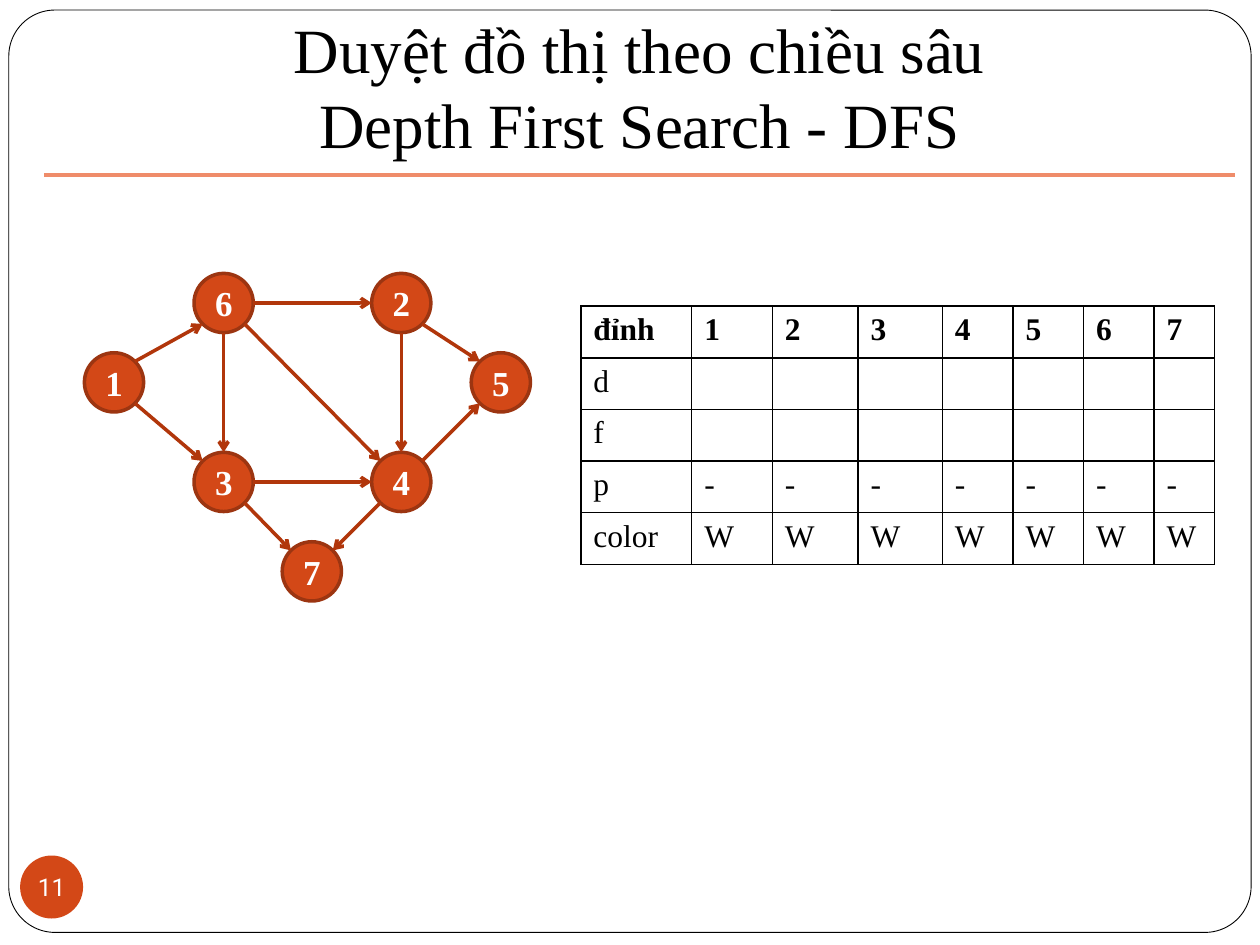
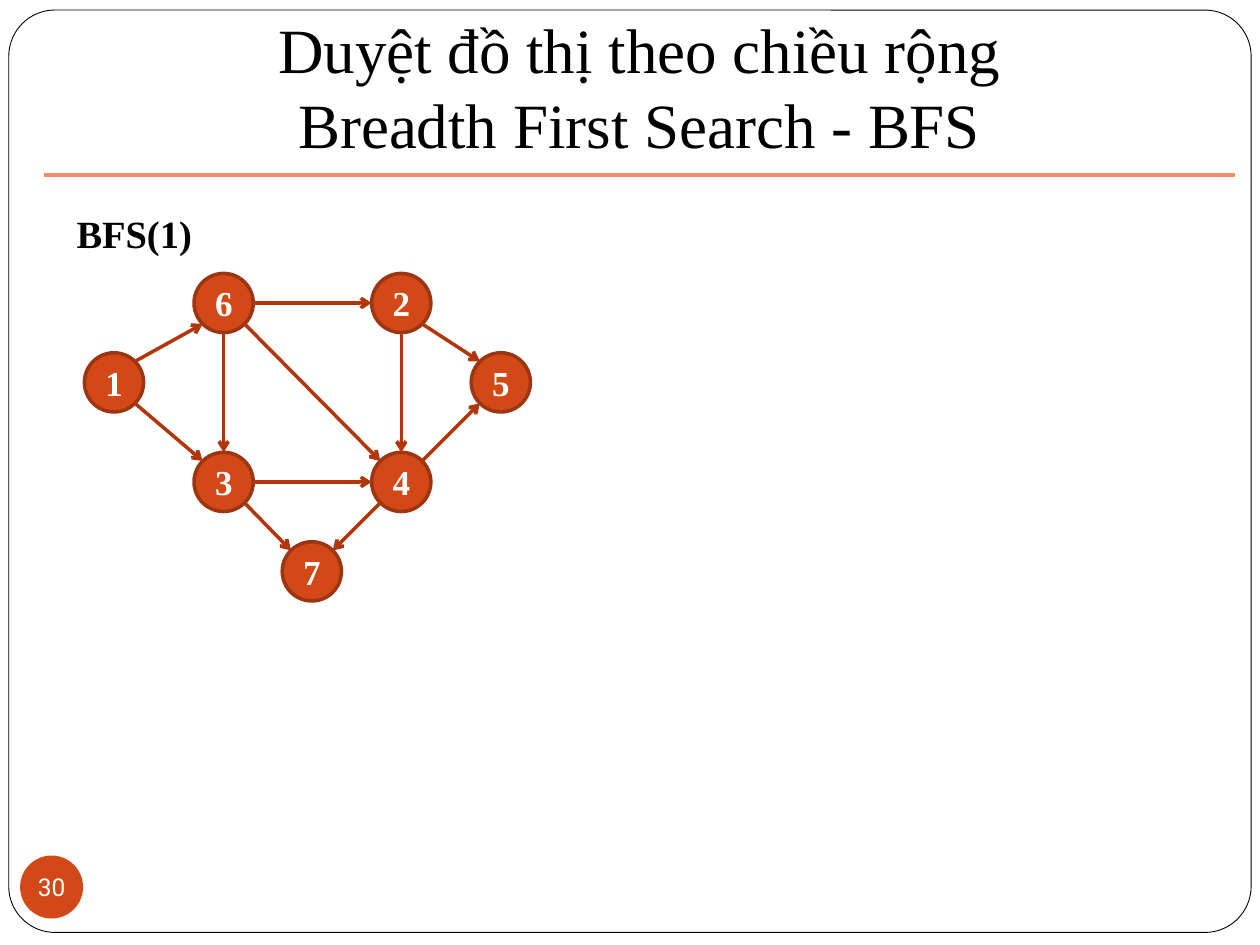
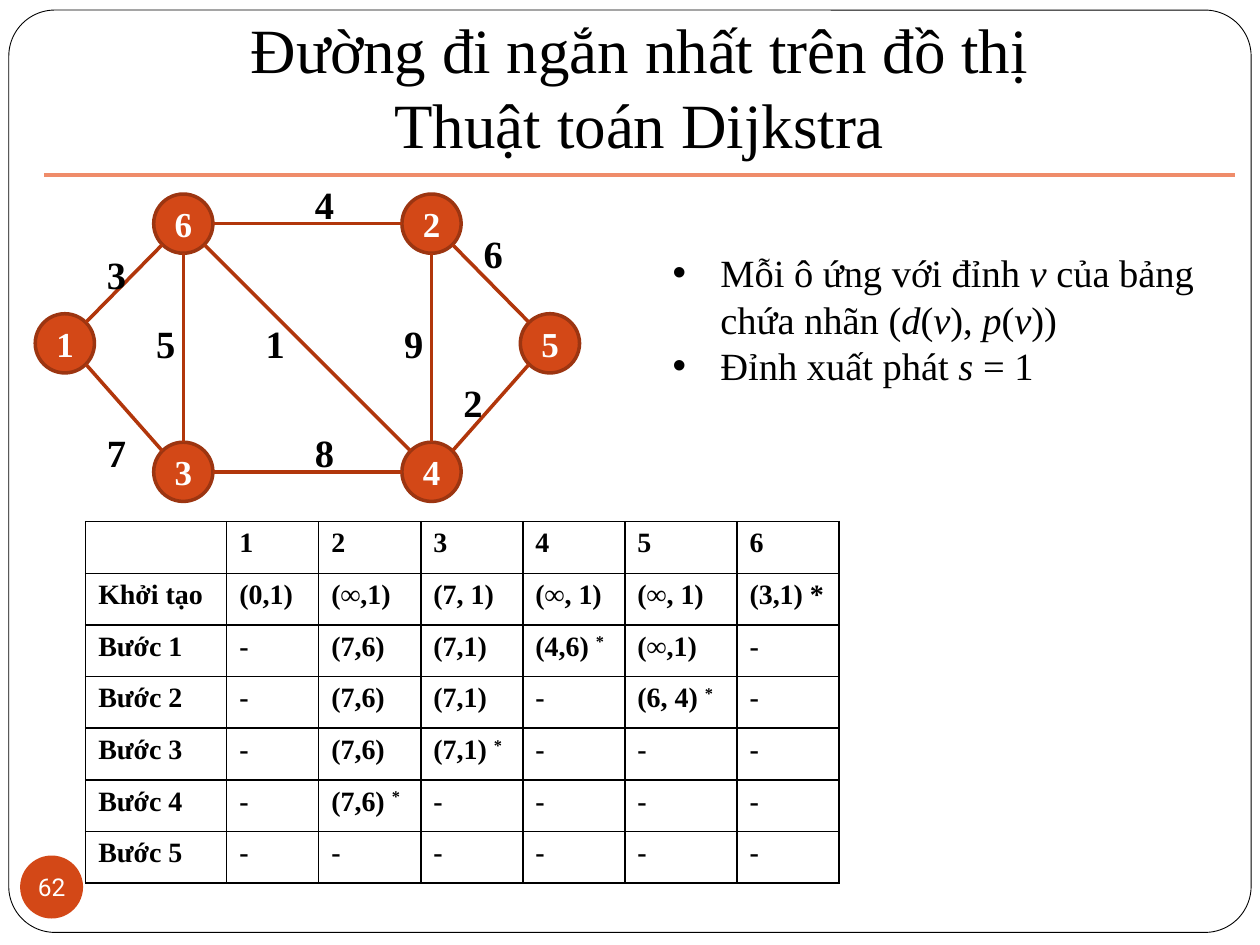
"""Build three slides on graph search and shortest routes."""
from dataclasses import dataclass
from math import atan2, cos, pi, sin
from typing import Any, NamedTuple

from lxml.etree import SubElement
from pptx import Presentation as Deck
from pptx.dml.color import RGBColor as Color
from pptx.enum.shapes import MSO_CONNECTOR as Link, MSO_SHAPE as Form
from pptx.enum.text import MSO_ANCHOR as Anchor, PP_ALIGN as Align
from pptx.oxml.ns import qn
from pptx.util import Emu, Pt

SCALE = 9144


@dataclass(frozen=True)
class Theme:
    ink: str = "000000"
    paper: str = "FFFFFF"
    disc: str = "D34817"
    rim: str = "9C3511"
    edge: str = "B1360B"
    rule: str = "EF8C6A"
    serif: str = "Times New Roman"
    sans: str = "Roboto"
    title: int = 36
    body: int = 22
    node: int = 20
    page: int = 14
    hair: float = 0.5
    thin: int = 1
    thick: int = 2


class Box(NamedTuple):
    x: int
    y: int
    w: int
    h: int


class Spot(NamedTuple):
    x: int
    y: int


class Type(NamedTuple):
    size: int
    bold: bool = False
    tint: str = Theme.ink
    face: str = Theme.serif


class Mark(NamedTuple):
    name: str
    at: Spot


class Graph(NamedTuple):
    nodes: dict[str, Spot]
    edges: str
    arrow: bool


class Grid(NamedTuple):
    at: Spot
    cols: tuple[int, ...]
    rows: tuple[str, ...]
    size: int
    bold: int


class Page(NamedTuple):
    title: tuple[str, str]
    num: str
    graph: Graph


THEME = Theme()
DISC = 47
ROW = 41
HEAD = Type(THEME.title)
BODY = Type(THEME.body)
STRONG = Type(THEME.body, True)
LABEL = Type(THEME.node, True, THEME.paper)
COUNT = Type(THEME.page, False, THEME.paper, THEME.sans)
MID = {"vertical_anchor": Anchor.MIDDLE}
FLUSH = dict.fromkeys(("margin_left", "margin_top", "margin_right", "margin_bottom"), 0)

WALK = Graph(
    {"1": Spot(67, 280), "6": Spot(154, 217), "3": Spot(154, 359), "2": Spot(295, 217),
     "4": Spot(295, 359), "5": Spot(374, 280), "7": Spot(224, 430)},
    "16 13 62 25 45 34 63 24 64 37 47", True)
ROUTE = Graph(
    {"1": Spot(28, 249), "6": Spot(122, 154), "3": Spot(122, 351), "2": Spot(319, 154),
     "4": Spot(319, 351), "5": Spot(413, 249)},
    "16 13 62 25 45 34 63 24 64", False)
COSTS = (
    Mark("3", Spot(75, 194)), Mark("4", Spot(240, 139)), Mark("7", Spot(75, 336)),
    Mark("5", Spot(114, 249)), Mark("8", Spot(240, 336)), Mark("9", Spot(311, 249)),
    Mark("6", Spot(374, 178)), Mark("2", Spot(358, 296)), Mark("1", Spot(201, 249)))
STATE = Grid(
    Spot(461, 243), (88, 64, 68, 67, 56, 56, 56, 48),
    ("đỉnh|1|2|3|4|5|6|7", "d|||||||", "f|||||||", "p" + "|-" * 7, "color" + "|W" * 7), 18, 1)
STEPS = Grid(
    Spot(68, 414), (112, 73, 81, 81, 81, 89, 81),
    ("|1|2|3|4|5|6",
     "Khởi tạo|(0,1)|(∞,1)|(7, 1)|(∞, 1)|(∞, 1)|(3,1) *",
     "Bước 1|-|(7,6)|(7,1)|(4,6) ^*|(∞,1)|-",
     "Bước 2|-|(7,6)|(7,1)|-|(6, 4) ^*|-",
     "Bước 3|-|(7,6)|(7,1) ^*|-|-|-",
     "Bước 4|-|(7,6) ^*|-|-|-|-",
     "Bước 5" + "|-" * 6), 16, 7)
NOTES = ("Mỗi ô ứng với đỉnh _v _của bảng chứa nhãn (_d_(_v_), _p_(_v_))",
         "Đỉnh xuất phát _s_ = 1")
PAGES = (
    Page(("Duyệt đồ thị theo chiều sâu", "Depth First Search - DFS"), "11", WALK),
    Page(("Duyệt đồ thị theo chiều rộng", "Breadth First Search - BFS"), "30", WALK),
    Page(("Đường đi ngắn nhất trên đồ thị", "Thuật toán Dijkstra"), "62", ROUTE))


def px(size: float) -> Emu:
    """Turn px into EMU."""
    return Emu(round(size * SCALE))


def put(item: Any, form: dict[str, Any]) -> None:
    """Set each named value on the item."""
    for key, val in form.items():
        setattr(item, key, val)


def add_run(para: Any, text: str, kind: Type) -> Any:
    """Add one styled run."""
    run = para.add_run()
    run.text = text
    put(run.font, {"size": Pt(kind.size), "bold": kind.bold, "name": kind.face})
    run.font.color.rgb = Color.from_string(kind.tint)
    return run


def write(para: Any, text: str, kind: Type) -> None:
    """Write text, with _ around slanted parts and ^ before raised ones."""
    for turn, part in enumerate(text.split("_")):
        base, _, high = part.partition("^")
        if base:
            add_run(para, base, kind).font.italic = turn % 2 == 1
        if high:
            add_run(para, high, kind)._r.get_or_add_rPr().set("baseline", "30000")


def ink(line: Any, tint: str, wide: float) -> None:
    """Colour a line and set its width."""
    line.color.rgb = Color.from_string(tint)
    line.width = Pt(wide)


def add_shape(slide: Any, form: Form, box: Box, fill: str, rim: str = "", wide: float = 0) -> Any:
    """Draw a flat preset shape."""
    shape = slide.shapes.add_shape(form, *map(px, box))
    shape.shadow.inherit = False
    shape.fill.solid()
    shape.fill.fore_color.rgb = Color.from_string(fill)
    if rim:
        ink(shape.line, rim, wide)
    else:
        shape.line.fill.background()
    return shape


def add_disc(slide: Any, box: Box, text: str, kind: Type, form: dict[str, Any],
             rim: str = "") -> None:
    """Draw a disc with a centred number."""
    frame = add_shape(slide, Form.OVAL, box, THEME.disc, rim, THEME.thick).text_frame
    put(frame, MID | form)
    frame.paragraphs[0].alignment = Align.CENTER
    write(frame.paragraphs[0], text, kind)


def add_line(slide: Any, ends: tuple[float, ...], tint: str, arrow: bool = False) -> None:
    """Draw a straight line, with an arrowhead if asked."""
    link = slide.shapes.add_connector(Link.STRAIGHT, *map(px, ends))
    ink(link.line, tint, THEME.thick)
    if arrow:
        SubElement(link.line._get_or_add_ln(), qn("a:tailEnd"), type="arrow")
    SubElement(link._element.spPr, qn("a:effectLst"))


def add_text(slide: Any, box: Box) -> Any:
    """Add a wrapping text box and give its frame."""
    frame = slide.shapes.add_textbox(*map(px, box)).text_frame
    frame.word_wrap = True
    return frame


def add_label(slide: Any, box: Box, text: str) -> None:
    """Add a bold label."""
    write(add_text(slide, box).paragraphs[0], text, STRONG)


def add_graph(slide: Any, graph: Graph) -> None:
    """Draw discs and join them at the nearest eighth of the rim."""
    for name, at in graph.nodes.items():
        add_disc(slide, Box(*at, DISC, DISC), name, LABEL, {}, THEME.rim)
    half = DISC / 2
    for tail, head in graph.edges.split():
        start, end = graph.nodes[tail], graph.nodes[head]
        turn = round(atan2(end.y - start.y, end.x - start.x) * 4 / pi) * pi / 4
        dx, dy = half * cos(turn), half * sin(turn)
        add_line(slide, (start.x + half + dx, start.y + half + dy,
                         end.x + half - dx, end.y + half - dy), THEME.edge, graph.arrow)


def add_grid(slide: Any, grid: Grid) -> None:
    """Draw a plain table with thin rules."""
    box = Box(*grid.at, sum(grid.cols), ROW * len(grid.rows))
    table = slide.shapes.add_table(len(grid.rows), len(grid.cols), *map(px, box)).table
    put(table, {"first_row": False, "horz_banding": False})
    for col, wide in zip(table.columns, grid.cols):
        col.width = px(wide)
    for row, line in enumerate(grid.rows):
        table.rows[row].height = px(ROW)
        for cell, text in zip(table.rows[row].cells, line.split("|")):
            write(cell.text_frame.paragraphs[0], text, Type(grid.size, row < grid.bold))
            add_rim(cell)
            cell.fill.background()


def add_rim(cell: Any) -> None:
    """Rule all four sides of a cell."""
    props = cell._tc.get_or_add_tcPr()
    for side in "LRTB":
        rule = SubElement(props, qn(f"a:ln{side}"), w=str(Pt(THEME.thin)))
        SubElement(SubElement(rule, qn("a:solidFill")), qn("a:srgbClr"), val=THEME.ink)


def add_notes(slide: Any, box: Box, notes: tuple[str, ...]) -> None:
    """Add a list with round bullets."""
    frame = add_text(slide, box)
    for turn, note in enumerate(notes):
        para = frame.add_paragraph() if turn else frame.paragraphs[0]
        props = para._p.get_or_add_pPr()
        props.set("marL", str(px(38)))
        props.set("indent", str(px(-38)))
        SubElement(props, qn("a:buFont"), typeface="Arial")
        SubElement(props, qn("a:buChar"), char="•")
        write(para, note, BODY)


def add_page(deck: Any, page: Page) -> Any:
    """Add a slide with its frame, title, rule and page number."""
    slide = deck.slides.add_slide(deck.slide_layouts[6])
    frame = add_shape(slide, Form.ROUNDED_RECTANGLE, Box(7, 8, 986, 732),
                      THEME.paper, THEME.ink, THEME.hair)
    frame.adjustments[0] = 0.05
    title = add_text(slide, Box(35, 13, 945, 125))
    put(title, {"vertical_anchor": Anchor.BOTTOM, "margin_bottom": px(10)})
    para = title.paragraphs[0]
    para.alignment = Align.CENTER
    write(para, page.title[0], HEAD)
    para.add_line_break()
    write(para, page.title[1], HEAD)
    add_line(slide, (35, 139, 980, 139), THEME.rule)
    add_disc(slide, Box(16, 679, 50, 50), page.num, COUNT, FLUSH | {"word_wrap": False})
    add_graph(slide, page.graph)
    return slide


def main() -> None:
    """Build and save the deck."""
    deck = Deck()
    put(deck, {"slide_width": px(1000), "slide_height": px(750)})
    depth, breadth, short = (add_page(deck, page) for page in PAGES)
    add_grid(depth, STATE)
    add_label(breadth, Box(51, 162, 244, 47), "BFS(1)")
    add_grid(short, STEPS)
    for cost in COSTS:
        add_label(short, Box(*cost.at, 39, 47), cost.name)
    add_notes(short, Box(524, 193, 457, 158), NOTES)
    deck.save("out.pptx")


if __name__ == "__main__":
    main()
